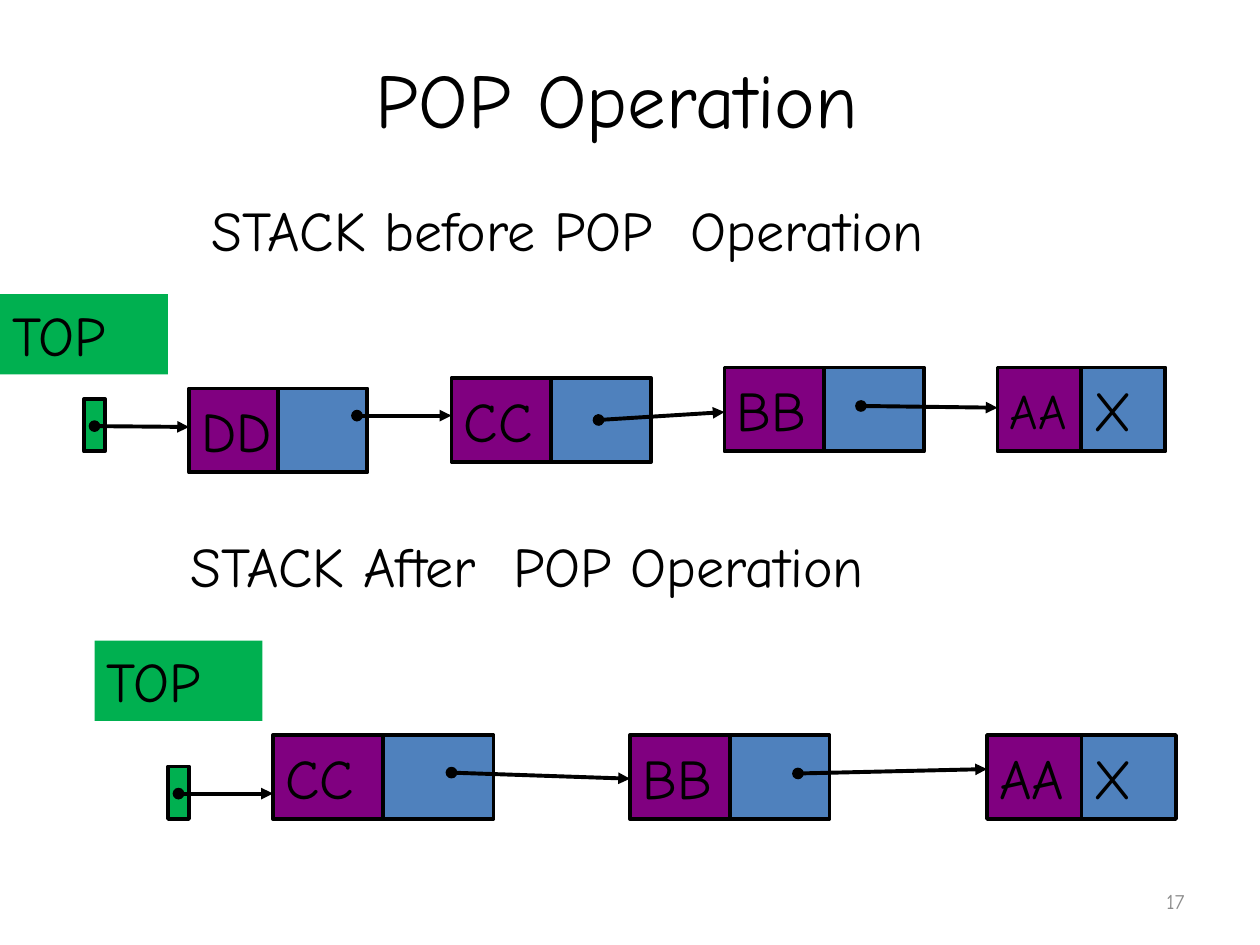
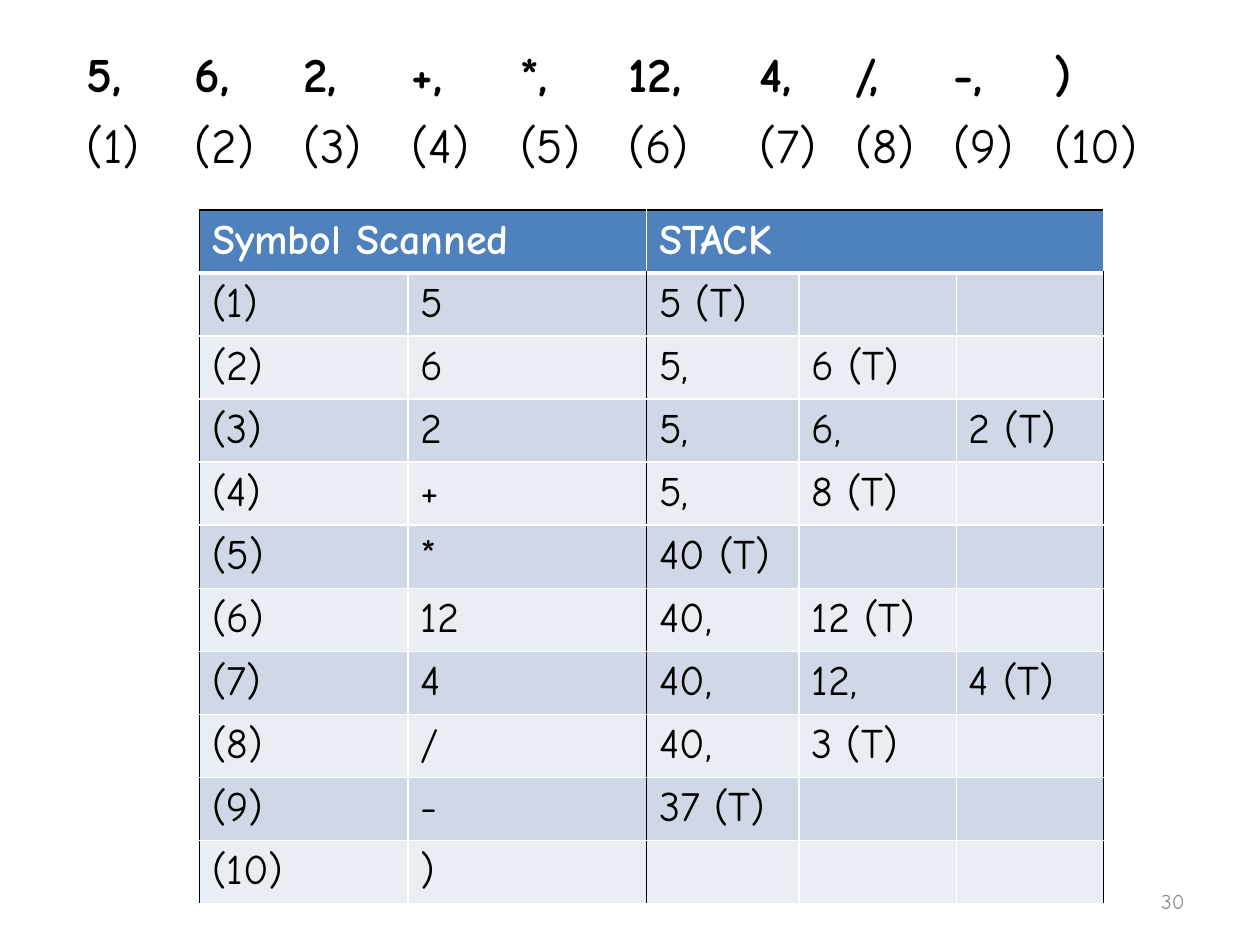
"""Build two slides on stacks: the POP operation and a postfix evaluation."""
import lxml.etree
import pptx
import pptx.dml.color
import pptx.enum.shapes
import pptx.enum.text
import pptx.oxml.ns
import pptx.util

Pt = pptx.util.Pt
RGBColor = pptx.dml.color.RGBColor
ALIGN = pptx.enum.text.PP_ALIGN
ANCHOR = pptx.enum.text.MSO_ANCHOR

BLACK = RGBColor(0x00, 0x00, 0x00)
WHITE = RGBColor(0xFF, 0xFF, 0xFF)
GRAY = RGBColor(0x8C, 0x8C, 0x8C)
BLUE = RGBColor(0x4F, 0x81, 0xBD)
PURPLE = RGBColor(0x80, 0x00, 0x80)
GREEN = RGBColor(0x00, 0xB0, 0x50)
BANDS = (RGBColor(0xD0, 0xD8, 0xE8), RGBColor(0xE9, 0xED, 0xF4))
FONT = "Comic Neue"
LINE_WIDTH = 2.25
NODE_HEIGHT = 48

SYMBOLS = ["5", "6", "2", "+", "*", "12", "4", "/", "-", ")"]
STACKS = [
    ["5 (T)"],
    ["5,", "6 (T)"],
    ["5,", "6,", "2 (T)"],
    ["5,", "8 (T)"],
    ["40 (T)"],
    ["40,", "12 (T)"],
    ["40,", "12,", "4 (T)"],
    ["40,", "3 (T)"],
    ["37 (T)"],
    [],
]


def write_text(frame, text, size=32, color=BLACK, bold=False, align=ALIGN.LEFT):
    """Put one formatted run of text into a text frame."""
    paragraph = frame.paragraphs[0]
    paragraph.alignment = align
    run = paragraph.add_run()
    run.text = text
    run.font.name = FONT
    run.font.size = Pt(size)
    run.font.bold = bold
    run.font.color.rgb = color


def add_label(slide, box, text, anchor=ANCHOR.TOP, **text_format):
    """Add a wrapping text box."""
    frame = slide.shapes.add_textbox(*map(Pt, box)).text_frame
    frame.word_wrap = True
    frame.vertical_anchor = anchor
    write_text(frame, text, **text_format)


def add_slide(presentation, number):
    """Add a blank slide with its number in the corner."""
    slide = presentation.slides.add_slide(presentation.slide_layouts[6])
    add_label(slide, (516, 500.5, 168, 28.75), number, anchor=ANCHOR.MIDDLE,
              size=12, color=GRAY, align=ALIGN.RIGHT)
    return slide


def add_box(slide, box, fill, text="", size=32, outlined=True, anchor=ANCHOR.MIDDLE):
    """Add a filled rectangle with optional outline and text."""
    rectangle = pptx.enum.shapes.MSO_SHAPE.RECTANGLE
    shape = slide.shapes.add_shape(rectangle, *map(Pt, box))
    shape.shadow.inherit = False
    shape.fill.solid()
    shape.fill.fore_color.rgb = fill
    if outlined:
        shape.line.color.rgb = BLACK
        shape.line.width = Pt(LINE_WIDTH)
    else:
        shape.line.fill.background()
    if text:
        shape.text_frame.word_wrap = False
        shape.text_frame.vertical_anchor = anchor
        write_text(shape.text_frame, text, size=size)


def add_node(slide, left, top, width, text, link_text="", size=32):
    """Add a list node made of a data cell and a link cell."""
    add_box(slide, (left + width, top, width, NODE_HEIGHT), BLUE, link_text)
    add_box(slide, (left, top, width, NODE_HEIGHT), PURPLE, text, size=size)


def add_pointer(slide, start, end):
    """Add an arrow that starts with a dot."""
    straight = pptx.enum.shapes.MSO_CONNECTOR.STRAIGHT
    connector = slide.shapes.add_connector(straight, *map(Pt, start + end))
    connector.line.color.rgb = BLACK
    connector.line.width = Pt(LINE_WIDTH)
    qn = pptx.oxml.ns.qn
    properties = connector.line._get_or_add_ln()
    lxml.etree.SubElement(properties, qn("a:headEnd"), type="oval")
    lxml.etree.SubElement(properties, qn("a:tailEnd"), type="triangle")
    lxml.etree.SubElement(connector._element.spPr, qn("a:effectLst"))


def add_stack(slide, top_label, top_marker, nodes, pointers):
    """Add a linked stack with its TOP pointer."""
    add_box(slide, top_label + (96, 46), GREEN, "TOP ", outlined=False, anchor=ANCHOR.TOP)
    add_box(slide, top_marker + (12, 30), GREEN)
    for node in nodes:
        add_node(slide, *node)
    for start, end in pointers:
        add_pointer(slide, start, end)


def add_table(slide, left, top, widths, height, row_count):
    """Add a table with given column widths and one row height."""
    frame = slide.shapes.add_table(row_count, len(widths), Pt(left), Pt(top),
                                   Pt(sum(widths)), Pt(height * row_count))
    table = frame.table
    for column, width in zip(table.columns, widths):
        column.width = Pt(width)
    for row in table.rows:
        row.height = Pt(height)
    return table


def set_borders(cell, borders):
    """Set cell borders, given as (colour, width) in the order L, R, T, B."""
    qn = pptx.oxml.ns.qn
    properties = cell._tc.get_or_add_tcPr()
    for index, (side, (color, width)) in enumerate(zip("LRTB", borders)):
        line = lxml.etree.Element(qn("a:ln" + side), w=str(Pt(width)))
        fill = lxml.etree.SubElement(line, qn("a:solidFill"))
        lxml.etree.SubElement(fill, qn("a:srgbClr"), val=str(color))
        properties.insert(index, line)


def add_expression(slide):
    """Add the postfix expression with numbered symbols."""
    widths = [62] * 5 + [75, 54.5, 56.5, 57.5, 66]
    table = add_table(slide, 42, 24, widths, 29.5, 2)
    table.first_row = table.horz_banding = False
    last = len(SYMBOLS) - 1
    for index, symbol in enumerate(SYMBOLS):
        text = symbol if index == last else symbol + ","
        write_text(table.cell(0, index).text_frame, text, size=28, bold=True)
        write_text(table.cell(1, index).text_frame, f"({index + 1})", size=28)
    for cell in table.iter_cells():
        cell.fill.background()


def add_trace(slide):
    """Add the table that traces the stack symbol by symbol."""
    rows = [["Symbol Scanned ", "", "STACK ", "", ""]]
    for number, (symbol, stack) in enumerate(zip(SYMBOLS, STACKS), start=1):
        rows.append([f"({number})", symbol] + stack + [""] * (3 - len(stack)))
    table = add_table(slide, 114, 120, [119, 136.5, 87, 90, 84], 34.6, len(rows))
    table.cell(0, 0).merge(table.cell(0, 1))
    table.cell(0, 2).merge(table.cell(0, 4))
    for row_index, row in enumerate(rows):
        header = row_index == 0
        for column, text in enumerate(row):
            cell = table.cell(row_index, column)
            cell.fill.solid()
            cell.fill.fore_color.rgb = BLUE if header else BANDS[(row_index - 1) % 2]
            left_black = column == 0 or (column == 2 and not header)
            right_black = column == 4 or (column == 1 and not header)
            set_borders(cell, [
                (BLACK if left_black else WHITE, 1),
                (BLACK if right_black else WHITE, 1),
                (BLACK if header else WHITE, 3 if row_index == 1 else 1),
                (WHITE, 3 if header else 1),
            ])
            if text:
                write_text(cell.text_frame, text, size=24, bold=header,
                           color=WHITE if header else BLACK)


def build_pop_slide(presentation):
    """Show the stack before and after a POP."""
    slide = add_slide(presentation, "17")
    add_label(slide, (36, 21.6, 648, 68.4), "POP Operation ", anchor=ANCHOR.MIDDLE,
              size=44, align=ALIGN.CENTER)
    add_label(slide, (114, 108, 516, 46), "STACK before POP  Operation ")
    add_stack(
        slide, (0, 168), (48, 228),
        nodes=[(108, 222, 51, "DD"), (258, 216, 57, "CC"),
               (414, 210, 57, "BB"), (570, 210, 48, "AA", "X", 28)],
        pointers=[((54, 243.5), (108, 244)), ((204, 237.5), (258, 237.5)),
                  ((342, 240), (414, 235.5)), ((492, 232), (570, 233))])
    add_label(slide, (102, 300, 516, 46), "STACK After  POP Operation ")
    add_stack(
        slide, (54, 366), (96, 438),
        nodes=[(156, 420, 63, "CC"), (360, 420, 57, "BB"), (564, 420, 54, "AA", "X")],
        pointers=[((102, 453.5), (156, 453.5)), ((258, 441.5), (360, 445)),
                  ((456, 442), (564, 439.5))])


def build_evaluation_slide(presentation):
    """Show the evaluation of a postfix expression."""
    slide = add_slide(presentation, "30")
    add_expression(slide)
    add_trace(slide)


def main():
    """Build and save the presentation."""
    presentation = pptx.Presentation()
    presentation.slide_width = Pt(720)
    presentation.slide_height = Pt(540)
    build_pop_slide(presentation)
    build_evaluation_slide(presentation)
    presentation.save("out.pptx")


main()
